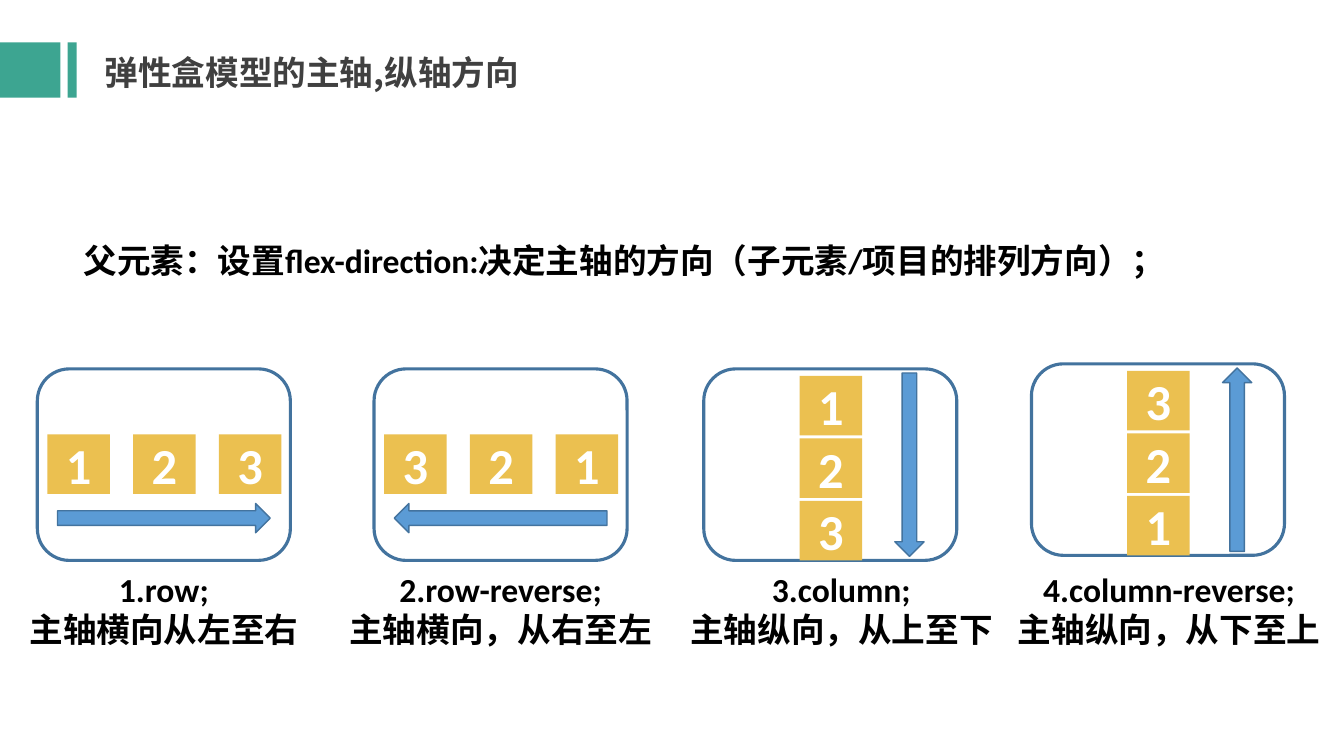
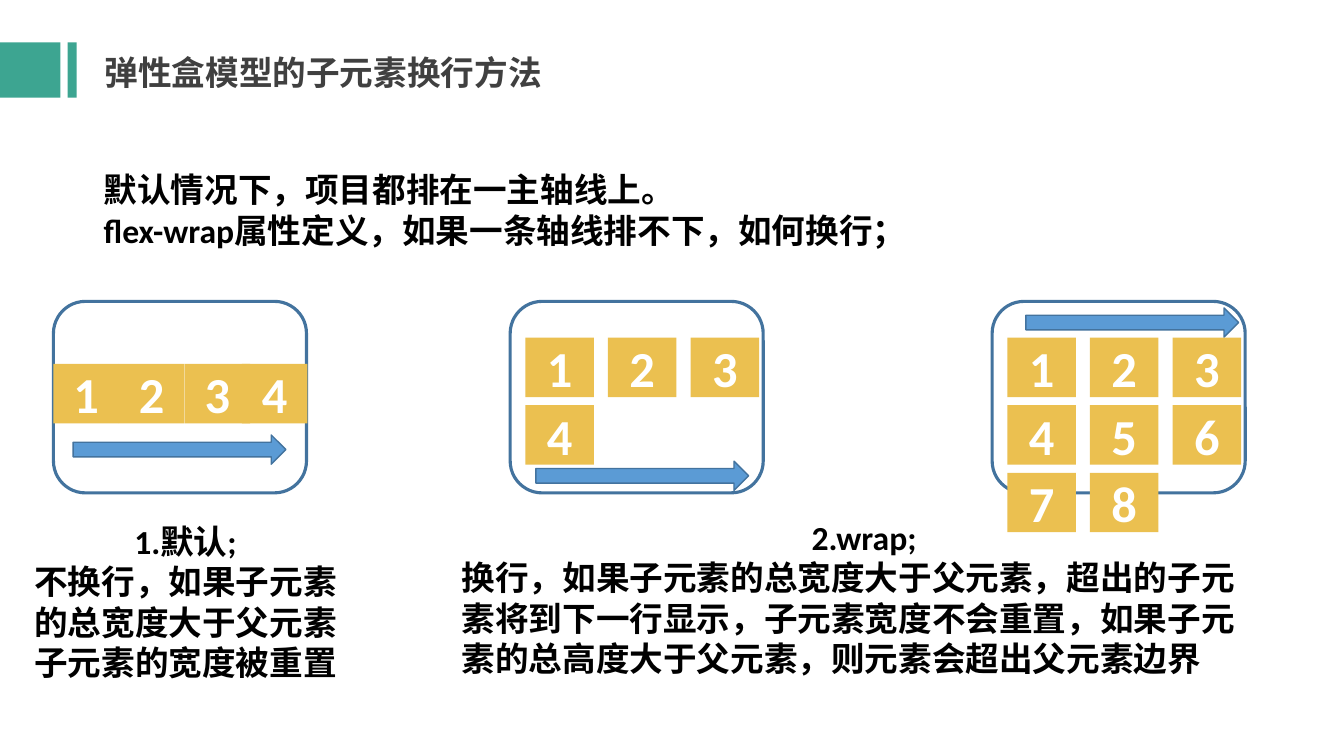
from dataclasses import dataclass

import lxml.etree
import pptx
import pptx.dml.color
import pptx.enum.shapes
import pptx.enum.text
import pptx.oxml.ns
import pptx.util

Inches = pptx.util.Inches
SHAPE = pptx.enum.shapes.MSO_SHAPE
ALIGN = pptx.enum.text.PP_ALIGN


@dataclass(frozen=True)
class Theme:
    band: str = "3DA591"
    title: str = "404040"
    body: str = "000000"
    tile: str = "EBC050"
    tile_text: str = "FFFFFF"
    arrow: str = "5B9BD5"
    outline: str = "43739E"
    latin_font: str = "Calibri"
    chinese_font: str = "Noto Sans CJK SC"
    text_size: int = 24
    tile_size: int = 36
    panel_line: float = 2.25
    arrow_line: float = 1


THEME = Theme()
PANEL_WIDTH, PANEL_HEIGHT = 2.51, 1.9
TILE_HEIGHT = 0.59
ROW_ARROW = 2.11
COLUMN_ARROW = 1.82
ARROW_THICKNESS = 0.29
CAPTION_WIDTH = 3.25


def rgb(value):
    return pptx.dml.color.RGBColor.from_string(value)


def write_para(para, text, *, size=THEME.text_size, color=THEME.body,
               font=THEME.latin_font, align=ALIGN.LEFT):
    para.alignment = align
    span = para.add_run()
    span.text = text
    span.font.size = pptx.util.Pt(size)
    span.font.bold = True
    span.font.color.rgb = rgb(color)
    span.font.name = font
    east_asian = lxml.etree.SubElement(
        span.font._element, pptx.oxml.ns.qn("a:ea"))
    east_asian.set("typeface", THEME.chinese_font)


def add_text(page, lines, left, top, width, height, *, wrap=True,
             aligns=(ALIGN.LEFT,), **style):
    box = page.shapes.add_textbox(
        Inches(left), Inches(top), Inches(width), Inches(height))
    frame = box.text_frame
    frame.word_wrap = wrap
    frame.auto_size = pptx.enum.text.MSO_AUTO_SIZE.SHAPE_TO_FIT_TEXT
    for index, line in enumerate(lines):
        para = frame.add_paragraph() if index else frame.paragraphs[0]
        align = aligns[min(index, len(aligns) - 1)]
        write_para(para, line, align=align, **style)


def add_box(shapes, kind, left, top, width, height, *, fill=None,
            line_width=None):
    box = shapes.add_shape(
        kind, Inches(left), Inches(top), Inches(width), Inches(height))
    box.shadow.inherit = False
    if fill:
        box.fill.solid()
        box.fill.fore_color.rgb = rgb(fill)
    else:
        box.fill.background()
    if line_width:
        box.line.color.rgb = rgb(THEME.outline)
        box.line.width = pptx.util.Pt(line_width)
    else:
        box.line.fill.background()
    return box


def add_panel(page, left, top):
    add_box(page.shapes, SHAPE.ROUNDED_RECTANGLE, left, top,
            PANEL_WIDTH, PANEL_HEIGHT, line_width=THEME.panel_line)


def add_arrow(page, center_x, center_y, length=ROW_ARROW, rotation=0):
    arrow = add_box(page.shapes, SHAPE.RIGHT_ARROW,
                    center_x - length / 2, center_y - ARROW_THICKNESS / 2,
                    length, ARROW_THICKNESS,
                    fill=THEME.arrow, line_width=THEME.arrow_line)
    arrow.rotation = rotation


def add_tiles(page, labels, left, top, *, columns, width, pitch_x=0, pitch_y=0):
    for index, label in enumerate(labels):
        row, column = divmod(index, columns)
        tile = add_box(page.shapes, SHAPE.RECTANGLE,
                       left + column * pitch_x, top + row * pitch_y,
                       width, TILE_HEIGHT, fill=THEME.tile)
        frame = tile.text_frame
        frame.vertical_anchor = pptx.enum.text.MSO_ANCHOR.MIDDLE
        write_para(frame.paragraphs[0], label, size=THEME.tile_size,
                   color=THEME.tile_text, align=ALIGN.CENTER)


def add_caption(page, lines, center_x, top, height):
    add_text(page, lines, center_x - CAPTION_WIDTH / 2, top,
             CAPTION_WIDTH, height, wrap=False, aligns=(ALIGN.CENTER,))


def add_page(deck, title):
    page = deck.slides.add_slide(deck.slide_layouts[6])
    band = page.shapes.add_group_shape()
    for left, width in ((0, 0.6), (0.67, 0.09)):
        add_box(band.shapes, SHAPE.RECTANGLE, left, 0.42, width, 0.55,
                fill=THEME.band)
    add_text(page, [title], 0.94, 0.47, 5.32, 0.5,
             color=THEME.title, font=THEME.chinese_font)
    return page


def add_row_example(page, left, labels, rotation, caption):
    top = 3.66
    add_panel(page, left, top)
    add_tiles(page, labels, left + 0.1, top + 0.65,
              columns=3, width=0.62, pitch_x=0.85)
    add_arrow(page, left + PANEL_WIDTH / 2, top + 1.48, rotation=rotation)
    add_caption(page, caption, left + PANEL_WIDTH / 2, 5.59, 0.91)


def add_column_example(page, left, top, labels, rotation, caption):
    add_panel(page, left, top)
    add_tiles(page, labels, left + 0.95, top + 0.07,
              columns=1, width=0.62, pitch_y=0.62)
    add_arrow(page, left + 2.04, top + PANEL_HEIGHT / 2,
              length=COLUMN_ARROW, rotation=rotation)
    add_caption(page, caption, left + PANEL_WIDTH / 2 + 0.11, 5.59, 0.91)


def add_wrap_example(page, left, labels, arrow_x, arrow_y):
    top = 2.99
    add_panel(page, left, top)
    add_arrow(page, arrow_x, arrow_y)
    add_tiles(page, labels, left + 0.15, top + 0.36,
              columns=3, width=0.68, pitch_x=0.82, pitch_y=0.67)


def build_direction_page(deck):
    page = add_page(deck, "弹性盒模型的主轴,纵轴方向")
    add_text(page,
             ["父元素：设置flex-direction:决定主轴的方向（子元素/项目的排列方向）；"],
             0.73, 2.33, 11, 0.5)
    add_row_example(page, 0.37, "123", 0, ["1.row;", "主轴横向从左至右"])
    add_row_example(page, 3.71, "321", 180,
                    ["2.row-reverse;", "主轴横向，从右至左"])
    add_column_example(page, 6.98, 3.66, "123", 90,
                       ["3.column;", "主轴纵向，从上至下"])
    add_column_example(page, 10.23, 3.61, "321", 270,
                       ["4.column-reverse;", "主轴纵向，从下至上"])


def build_wrap_page(deck):
    page = add_page(deck, "弹性盒模型的子元素换行方法")
    add_text(page,
             ["默认情况下，项目都排在一主轴线上。",
              "flex-wrap属性定义，如果一条轴线排不下，如何换行；"],
             0.93, 1.63, 11, 0.91)
    add_panel(page, 0.53, 2.99)
    add_arrow(page, 1.78, 4.46)
    add_tiles(page, "123", 0.53, 3.61, columns=3, width=0.65, pitch_x=0.65)
    add_tiles(page, "4", 2.4, 3.61, columns=1, width=0.65)
    add_caption(page,
                ["1.默认;", "不换行，如果子元素", "的总宽度大于父元素",
                 "子元素的宽度被重置"],
                1.84, 5.12, 1.72)
    add_wrap_example(page, 5.06, "1234", 6.37, 4.72)
    add_wrap_example(page, 9.84, "12345678", 11.23, 3.2)
    add_text(page,
             ["2.wrap;",
              "换行，如果子元素的总宽度大于父元素，超出的子元素将到下一行显示，"
              "子元素宽度不会重置，如果子元素的总高度大于父元素，则元素会超出父元素边界"],
             4.48, 5.08, 8.18, 1.72, aligns=(ALIGN.CENTER, ALIGN.LEFT))


def main():
    deck = pptx.Presentation()
    deck.slide_width = Inches(13.33)
    deck.slide_height = Inches(7.5)
    build_direction_page(deck)
    build_wrap_page(deck)
    deck.save("out.pptx")


if __name__ == "__main__":
    main()
